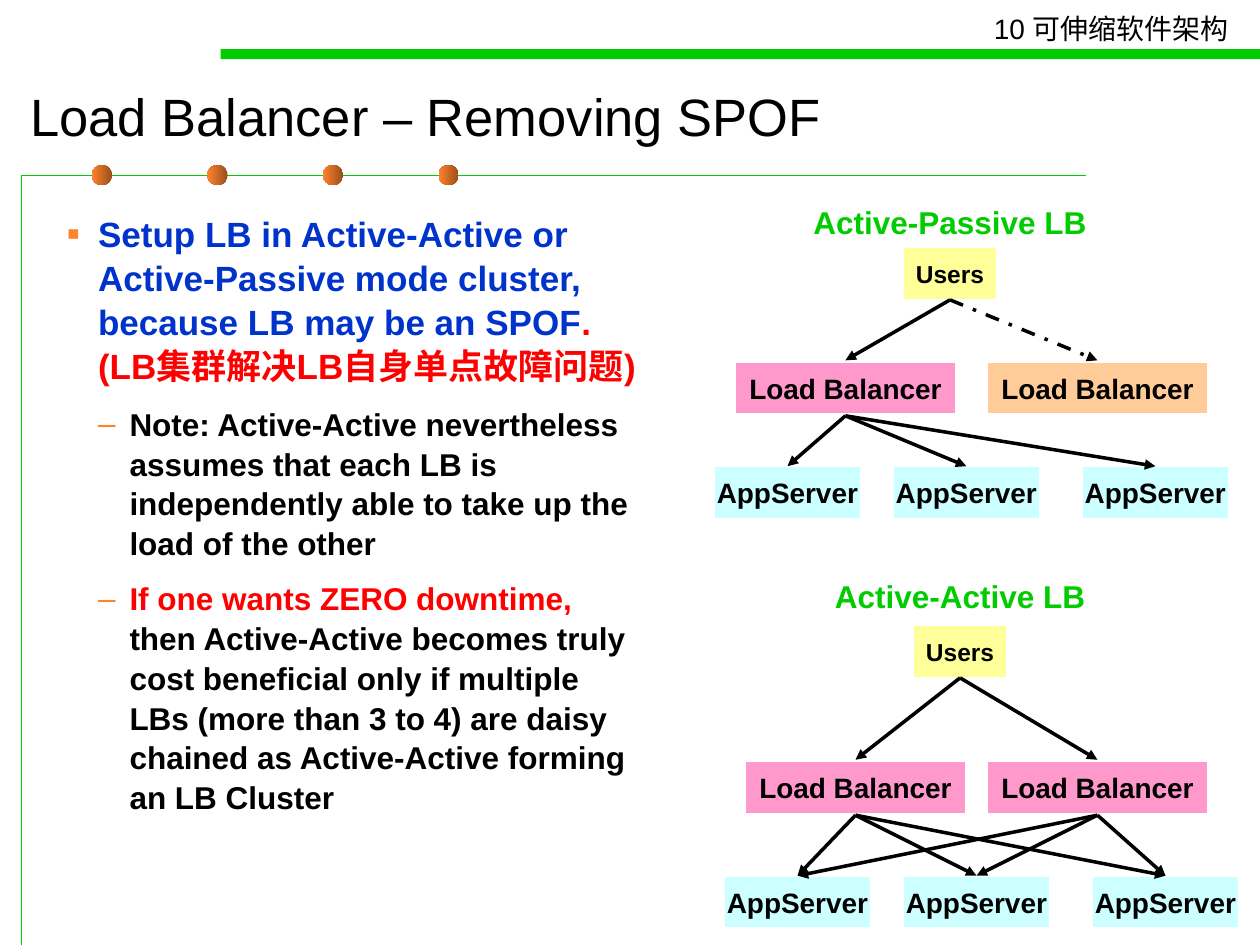
from dataclasses import dataclass

from lxml import etree
from pptx import Presentation, util as u
from pptx.dml.color import RGBColor
from pptx.enum import dml, shapes, text
from pptx.oxml.ns import qn


@dataclass(frozen=True)
class Theme:
    font: str = "Arial"
    black: str = "000000"
    white: str = "FFFFFF"
    green: str = "00CC00"
    blue: str = "0033CC"
    red: str = "FF0000"
    orange: str = "FF822D"
    brown: str = "9A4E1B"
    users: str = "FFFF99"
    active: str = "FF99CC"
    passive: str = "FFCC99"
    server: str = "CCFFFF"
    title_size: int = 30
    point_size: int = 20
    note_size: int = 18
    box_size: int = 16
    users_size: int = 14


class SlideBuilder:
    def __init__(self, slide, theme):
        self.slide = slide
        self.theme = theme

    def run(self, paragraph, words, size, color, bold=False):
        run = paragraph.add_run()
        run.text = words
        run.font.name = self.theme.font
        run.font.size = u.Pt(size)
        run.font.bold = bold
        run.font.color.rgb = RGBColor.from_string(color)

    def title(self, words, *place):
        title = self.slide.shapes.title
        title.left, title.top, title.width, title.height = map(u.Inches, place)
        title.text_frame.vertical_anchor = text.MSO_ANCHOR.MIDDLE
        paragraph = title.text_frame.paragraphs[0]
        paragraph.alignment = text.PP_ALIGN.LEFT
        self.run(paragraph, words, self.theme.title_size, self.theme.black)

    def text_box(self, parent, *place, wrap=True):
        frame = parent.shapes.add_textbox(*map(u.Inches, place)).text_frame
        frame.word_wrap = wrap
        return frame

    def bullet(self, paragraph, mark, level, before, after, size=100):
        paragraph.level = level
        paragraph.space_before = u.Pt(before)
        paragraph.space_after = u.Pt(after)
        paragraph.line_spacing = 1.05
        props = paragraph._p.get_or_add_pPr()
        props.set("marL", str(u.Inches(0.25 * (level + 1))))
        props.set("indent", str(u.Inches(-0.25)))
        color = etree.SubElement(props, qn("a:buClr"))
        etree.SubElement(color, qn("a:srgbClr"), val=self.theme.orange)
        etree.SubElement(props, qn("a:buSzPct"), val=str(size * 1000))
        etree.SubElement(props, qn("a:buFont"), typeface=self.theme.font)
        etree.SubElement(props, qn("a:buChar"), char=mark)

    def shape(self, parent, kind, place, color, outline=None):
        shape = parent.shapes.add_shape(kind, *map(u.Inches, place))
        shape.shadow.inherit = False
        shape.fill.solid()
        shape.fill.fore_color.rgb = RGBColor.from_string(color)
        if outline:
            shape.line.color.rgb = RGBColor.from_string(outline)
            shape.line.width = u.Pt(1.25)
        else:
            shape.line.fill.background()
        return shape

    def bead(self, left, top, size):
        bead = self.shape(self.slide, shapes.MSO_SHAPE.OVAL,
                          (left, top, size, size), self.theme.orange)
        bead.fill.gradient()
        bead.fill.gradient_angle = 180
        for stop, color in zip(bead.fill.gradient_stops,
                               (self.theme.brown, self.theme.orange)):
            stop.color.rgb = RGBColor.from_string(color)

    def frame_line(self, points, color):
        start, *rest = [tuple(map(u.Inches, point)) for point in points]
        builder = self.slide.shapes.build_freeform(*start)
        builder.add_line_segments(rest, close=False)
        outline = builder.convert_to_shape()
        outline.shadow.inherit = False
        outline.fill.background()
        outline.line.color.rgb = RGBColor.from_string(color)
        outline.line.width = u.Pt(0.75)

    def node(self, parent, words, center, top, width, color, size):
        box = self.shape(parent, shapes.MSO_SHAPE.RECTANGLE,
                         (center - width / 2, top, width, BOX_HEIGHT),
                         color, self.theme.white)
        box.text_frame.word_wrap = False
        box.text_frame.vertical_anchor = text.MSO_ANCHOR.MIDDLE
        paragraph = box.text_frame.paragraphs[0]
        paragraph.alignment = text.PP_ALIGN.CENTER
        self.run(paragraph, words, size, self.theme.black, bold=True)

    def arrow(self, parent, start, end, dashed=False):
        arrow = parent.shapes.add_connector(
            shapes.MSO_CONNECTOR.STRAIGHT, *map(u.Inches, (*start, *end)))
        arrow.line.color.rgb = RGBColor.from_string(self.theme.black)
        arrow.line.width = u.Pt(2)
        if dashed:
            arrow.line.dash_style = dml.MSO_LINE.DASH_DOT
        etree.SubElement(arrow.line._get_or_add_ln(), qn("a:tailEnd"), type="triangle")
        etree.SubElement(arrow._element.spPr, qn("a:effectLst"))

    def cluster(self, heading, shift, tops, balancers, serving):
        """Draw users, balancers and servers; the first `serving` balancers are live."""
        theme = self.theme
        group = self.slide.shapes.add_group_shape()
        heading_top, users_top, balancer_top, server_top = tops
        users = 7.54 + shift
        servers = [center + shift for center in (6.25, 7.67, 9.17)]

        # Heading and boxes
        label = self.text_box(group, 5.75 + shift, heading_top, 3.58, 0.4).paragraphs[0]
        label.alignment = text.PP_ALIGN.CENTER
        self.run(label, heading, theme.note_size, theme.green, bold=True)
        self.node(group, "Users", users, users_top, 0.75, theme.users, theme.users_size)
        for index, center in enumerate(balancers):
            color = theme.active if index < serving else theme.passive
            self.node(group, "Load Balancer", center, balancer_top, 1.75,
                      color, theme.box_size)
        for center in servers:
            self.node(group, "AppServer", center, server_top, 1.17,
                      theme.server, theme.box_size)

        # Arrows from each tier to the next
        for index, center in enumerate(balancers):
            live = index < serving
            self.arrow(group, (users, users_top + BOX_HEIGHT),
                       (center, balancer_top - 0.01), dashed=not live)
            for server in servers if live else ():
                self.arrow(group, (center, balancer_top + BOX_HEIGHT + 0.01),
                           (server, server_top))


BOX_HEIGHT = 0.42


def main():
    theme = Theme()
    deck = Presentation()
    deck.slide_width, deck.slide_height = u.Inches(10), u.Inches(7.5)
    page = SlideBuilder(deck.slides.add_slide(deck.slide_layouts[5]), theme)

    # Page decoration
    page.frame_line([(0.17, 7.5), (0.17, 1.39), (8.62, 1.39)], theme.green)
    for index in range(4):
        page.bead(0.73 + 0.917 * index, 1.31, 0.16)
    page.shape(page.slide, shapes.MSO_SHAPE.RECTANGLE, (1.75, 0.39, 8.25, 0.08),
               theme.green)

    # Chapter label and title
    chapter = page.text_box(page.slide, 7.79, 0.04, 2.11, 0.37, wrap=False)
    page.run(chapter.paragraphs[0], "10 可伸缩软件架构", theme.box_size, theme.black)
    page.title("Load Balancer – Removing SPOF", 0.14, 0.56, 9.29, 0.71)

    # Main point and its notes
    body = page.text_box(page.slide, 0.43, 1.62, 4.8, 5.59)
    point = body.paragraphs[0]
    page.bullet(point, "▪", 0, 0, 3.7, size=110)
    page.run(point, "Setup LB in Active-Active or Active-Passive mode cluster, "
             "because LB may be an SPOF", theme.point_size, theme.blue, bold=True)
    page.run(point, ".(LB集群解决LB自身单点故障问题)", theme.point_size,
             theme.red, bold=True)
    notes = [
        [("Note: Active-Active nevertheless assumes that each LB is independently "
          "able to take up the load of the other", theme.black)],
        [("If one wants ZERO downtime,", theme.red),
         (" then Active-Active becomes truly cost beneficial only if multiple LBs "
          "(more than 3 to 4) are daisy chained as Active-Active forming an LB Cluster",
          theme.black)],
    ]
    for note in notes:
        paragraph = body.add_paragraph()
        page.bullet(paragraph, "–", 1, 5.6, 3.4)
        for words, color in note:
            page.run(paragraph, words, theme.note_size, color, bold=True)

    # Cluster diagrams
    page.cluster("Active-Passive LB", 0, (1.56, 1.96, 2.87, 3.7), (6.71, 8.71), serving=1)
    page.cluster("Active-Active LB", 0.08, (4.53, 4.96, 6.04, 6.95), (6.79, 8.71), serving=2)

    deck.save("out.pptx")


if __name__ == "__main__":
    main()
